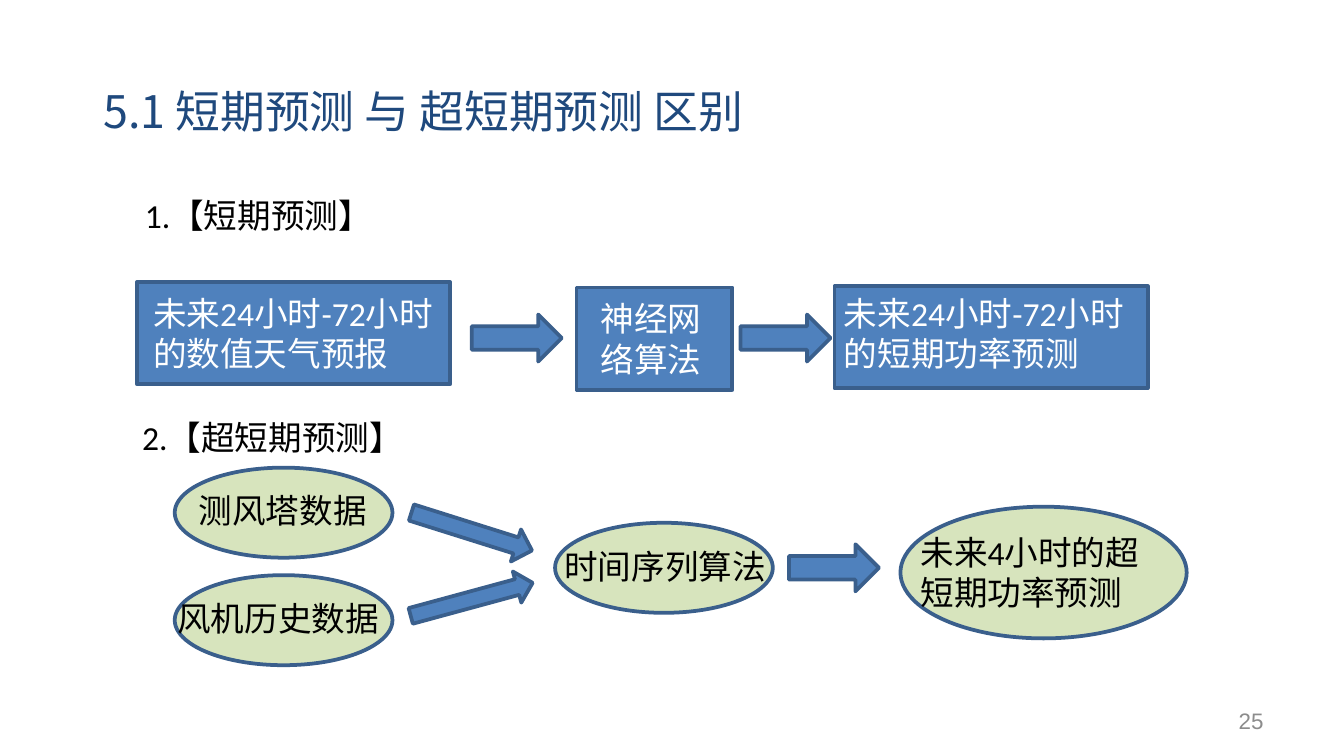
from dataclasses import dataclass

from pptx import Presentation
from pptx.dml.color import RGBColor
from pptx.enum.shapes import MSO_SHAPE
from pptx.enum.text import MSO_ANCHOR, PP_ALIGN
from pptx.util import Emu, Pt

PX = 9144  # 100 px to the inch
SLIDE_WIDTH = 1000


@dataclass(frozen=True)
class Theme:
    blue: str = "4F81BD"
    green: str = "D7E4BD"
    outline: str = "3A5F8C"
    navy: str = "1F497D"
    black: str = "000000"
    white: str = "FFFFFF"
    grey: str = "8C8C8C"
    title_size: int = 24
    body_size: int = 18
    number_size: int = 12
    outline_width: int = 2
    title_font: str = "Noto Sans CJK SC"
    body_font: str = "Calibri"
    number_font: str = "Arial"


THEME = Theme()

TITLE = ("5.1 短期预测 与 超短期预测 区别", (67, 37, 700, 118))
PAGE_NUMBER = ("25", (717, 521, 233, 30))
HEADINGS = [
    ("1.【短期预测】", (98, 140, 843, 71)),
    ("2.【超短期预测】", (96, 305, 843, 71)),
]

# Steps: label, outline frame, label frame
SHORT_TERM_STEPS = [
    ("未来24小时-72小时的数值天气预报", (102, 210, 233, 76), (104, 213, 229, 71)),
    ("神经网络算法", (429, 214, 116, 76), (437, 217, 114, 71)),
    ("未来24小时-72小时的短期功率预测", (621, 213, 233, 76), (618, 213, 229, 71)),
]
ULTRA_SHORT_STEPS = [
    ("测风塔数据", (130, 348, 162, 67), (138, 360, 146, 40)),
    ("风机历史数据", (130, 428, 162, 67), (122, 440, 181, 40)),
    ("时间序列算法", (413, 389, 162, 67), (410, 401, 202, 40)),
    ("未来4小时的超短期功率预测", (670, 377, 213, 98), (675, 391, 202, 71)),
]

# Arrows: frame, rotation in degrees
ARROWS = [
    ((351, 234, 67, 35), 0),
    ((551, 234, 67, 35), 0),
    ((304, 383, 94, 25), 17.5),
    ((304, 434, 94, 24), 344.8),
    ((587, 405, 67, 35), 0),
]


def to_emu(frame):
    return [Emu(length * PX) for length in frame]


def add_outlined(slide, preset, frame, fill, rotation=0):
    shape = slide.shapes.add_shape(preset, *to_emu(frame))
    shape.shadow.inherit = False
    shape.rotation = rotation
    shape.fill.solid()
    shape.fill.fore_color.rgb = RGBColor.from_string(fill)
    shape.line.color.rgb = RGBColor.from_string(THEME.outline)
    shape.line.width = Pt(THEME.outline_width)


def add_text(slide, text, frame, color, size=THEME.body_size, font=THEME.body_font):
    """Add a wrapping one-paragraph text box and return its text frame."""
    text_frame = slide.shapes.add_textbox(*to_emu(frame)).text_frame
    text_frame.word_wrap = True
    text_frame.text = text
    run_font = text_frame.paragraphs[0].runs[0].font
    run_font.name = font
    run_font.size = Pt(size)
    run_font.color.rgb = RGBColor.from_string(color)
    return text_frame


def add_steps(slide, steps, preset, fill, color):
    for label, outline_frame, label_frame in steps:
        add_outlined(slide, preset, outline_frame, fill)
        add_text(slide, label, label_frame, color)


def main():
    presentation = Presentation()
    presentation.slide_width = Emu(SLIDE_WIDTH * PX)
    presentation.slide_height = Emu(SLIDE_WIDTH * PX * 9 // 16)
    slide = presentation.slides.add_slide(presentation.slide_layouts[6])

    number = add_text(slide, *PAGE_NUMBER, THEME.grey, THEME.number_size, THEME.number_font)
    number.vertical_anchor = MSO_ANCHOR.MIDDLE
    number.paragraphs[0].alignment = PP_ALIGN.RIGHT

    title = add_text(slide, *TITLE, THEME.navy, THEME.title_size, THEME.title_font)
    title.paragraphs[0].line_spacing = 1.5

    for heading, frame in HEADINGS:
        add_text(slide, heading, frame, THEME.black)

    add_steps(slide, SHORT_TERM_STEPS, MSO_SHAPE.RECTANGLE, THEME.blue, THEME.white)
    add_steps(slide, ULTRA_SHORT_STEPS, MSO_SHAPE.OVAL, THEME.green, THEME.black)
    for frame, rotation in ARROWS:
        add_outlined(slide, MSO_SHAPE.RIGHT_ARROW, frame, THEME.blue, rotation)

    presentation.save("out.pptx")


if __name__ == "__main__":
    main()
